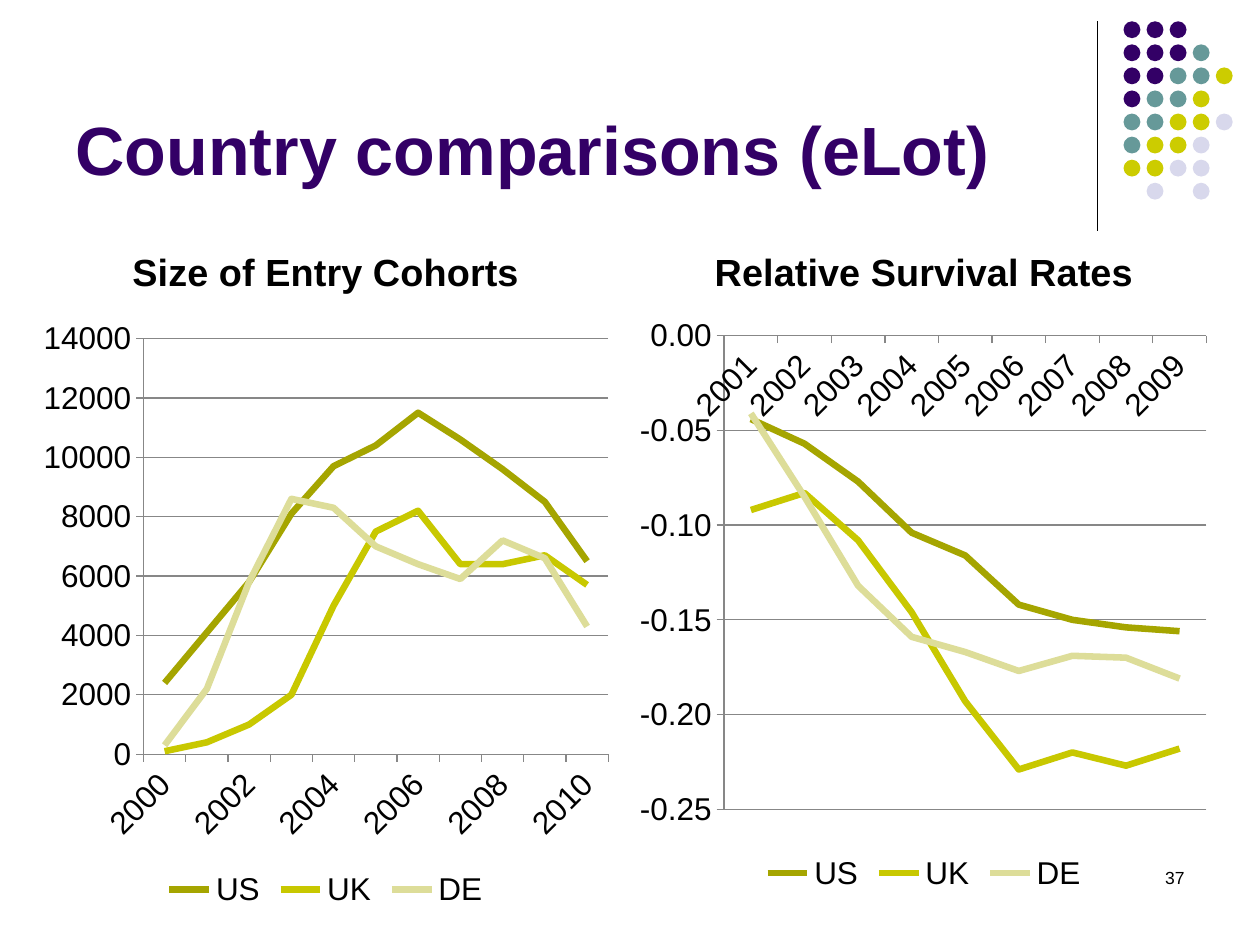
from lxml import etree
from pptx import Presentation
from pptx.chart.data import CategoryChartData
from pptx.dml.color import RGBColor
from pptx.enum.chart import XL_CHART_TYPE, XL_LEGEND_POSITION, XL_TICK_MARK
from pptx.enum.shapes import MSO_CONNECTOR, MSO_SHAPE
from pptx.enum.text import MSO_ANCHOR, MSO_AUTO_SIZE, PP_ALIGN
from pptx.oxml.ns import qn
from pptx.util import Cm, Pt

LINE_CHART = XL_CHART_TYPE.LINE
LEGEND_BOTTOM = XL_LEGEND_POSITION.BOTTOM
TICK_OUT, TICK_NONE = XL_TICK_MARK.OUTSIDE, XL_TICK_MARK.NONE
ELLIPSE, STRAIGHT = MSO_SHAPE.OVAL, MSO_CONNECTOR.STRAIGHT
FONT = "Arial"
COLORS = {
    "text": "000000", "grid": "878787",
    "P": "330066", "T": "669999", "Y": "CCCC00", "L": "D8D8EC",
    "US": "A5A500", "UK": "C8C800", "DE": "DDDD99",
}


def color(key):
    return RGBColor.from_string(COLORS[key])


def style(font, size, key="text", bold=False):
    font.name, font.size, font.bold = FONT, Pt(size), bold
    font.color.rgb = color(key)


prs = Presentation()
prs.slide_width, prs.slide_height = Cm(25.4), Cm(19.05)
slide = prs.slides.add_slide(prs.slide_layouts[5])
shapes = slide.shapes

# Corner ornament: rule and dot grid
rule = shapes.add_connector(STRAIGHT, Cm(22.12), Cm(0.43), Cm(22.12), Cm(4.65))
rule.line.color.rgb = color("text")
rule.line.width = Pt(0.75)
etree.SubElement(rule._element.spPr, qn("a:effectLst"))

DOT_ROWS = ["PPP", "PPPT", "PPTTY", "PTTY", "TTYYL", "TYYL", "YYLL", " L L"]
DOT_SIZE, DOT_PITCH = 0.34, 0.465
for row, dots in enumerate(DOT_ROWS):
    for column, key in enumerate(dots):
        if key == " ":
            continue
        dot = shapes.add_shape(ELLIPSE, Cm(22.65 + column * DOT_PITCH), Cm(0.43 + row * DOT_PITCH),
                               Cm(DOT_SIZE), Cm(DOT_SIZE))
        dot.shadow.inherit = False
        dot.fill.solid()
        dot.fill.fore_color.rgb = color(key)
        dot.line.fill.background()

# Title
title = shapes.title
title.left, title.top, title.width, title.height = Cm(1.27), Cm(0.33), Cm(20.96), Cm(3.61)
heading = title.text_frame
heading.text = "Country comparisons (eLot)"
heading.auto_size = MSO_AUTO_SIZE.NONE
heading.vertical_anchor = MSO_ANCHOR.BOTTOM
heading.paragraphs[0].alignment = PP_ALIGN.LEFT
style(heading.paragraphs[0].runs[0].font, 39, "P", True)

# Charts: plot area is given as fractions of the chart
COMPARISONS = [
    {
        "title": "Size of Entry Cohorts", "left": 0.64, "height": 13.97,
        "years": range(2000, 2011), "label_step": 2,
        "scale": (0, 14000, 2000), "format": "General",
        "plot": {"x": 0.19, "y": 0.17, "w": 0.79, "h": 0.6},
        "series": {
            "US": [2400, 4100, 5800, 8100, 9700, 10400, 11500, 10600, 9600, 8500, 6500],
            "UK": [100, 400, 1000, 2000, 5000, 7500, 8200, 6400, 6400, 6700, 5700],
            "DE": [300, 2200, 5800, 8600, 8300, 7000, 6400, 5900, 7200, 6600, 4300],
        },
    },
    {
        "title": "Relative Survival Rates", "left": 12.7, "height": 13.64,
        "years": range(2001, 2010), "label_step": 1,
        "scale": (-0.25, 0, 0.05), "format": "#,##0.00",
        "plot": {"x": 0.16, "y": 0.17, "w": 0.82, "h": 0.7},
        "series": {
            "US": [-0.044, -0.057, -0.077, -0.104, -0.116, -0.142, -0.15, -0.154, -0.156],
            "UK": [-0.092, -0.083, -0.108, -0.146, -0.193, -0.229, -0.22, -0.227, -0.218],
            "DE": [-0.041, -0.085, -0.132, -0.159, -0.167, -0.177, -0.169, -0.17, -0.181],
        },
    },
]
for comparison in COMPARISONS:
    data = CategoryChartData(number_format=comparison["format"])
    data.categories = [str(year) for year in comparison["years"]]
    for country, values in comparison["series"].items():
        data.add_series(country, values)
    chart = shapes.add_chart(LINE_CHART, Cm(comparison["left"]), Cm(4.45), Cm(11.86),
                             Cm(comparison["height"]), data).chart
    style(chart.font, 18)
    chart.has_title = True
    chart.chart_title.include_in_layout = False
    chart_heading = chart.chart_title.text_frame
    chart_heading.text = comparison["title"]
    style(chart_heading.paragraphs[0].runs[0].font, 21.6, bold=True)
    chart.has_legend = True
    chart.legend.position = LEGEND_BOTTOM
    chart.legend.include_in_layout = False
    style(chart.legend.font, 18)

    chart.plots[0].vary_by_categories = False
    for series in chart.plots[0].series:
        series.smooth = False
        series.format.line.color.rgb = color(series.name)
        series.format.line.width = Pt(3.75)

    years, scale = chart.category_axis, chart.value_axis
    for axis in (years, scale):
        axis.major_tick_mark, axis.minor_tick_mark = TICK_OUT, TICK_NONE
        axis.format.line.color.rgb = color("grid")
        style(axis.tick_labels.font, 18)
    scale.minimum_scale, scale.maximum_scale, scale.major_unit = comparison["scale"]
    scale.tick_labels.number_format = comparison["format"]
    scale.tick_labels.number_format_is_linked = False
    scale.has_major_gridlines = True
    scale.major_gridlines.format.line.color.rgb = color("grid")

    # Slanted year labels, shown at every label_step
    years_xml = years._element
    years_xml.find(qn("c:txPr")).find(qn("a:bodyPr")).set("rot", "-2700000")
    skip = etree.Element(qn("c:tickLblSkip"), val=str(comparison["label_step"]))
    years_xml.find(qn("c:noMultiLvlLbl")).addprevious(skip)

    # Fixed inner plot area
    plot_area = chart._chartSpace.chart.plotArea
    for automatic in plot_area.findall(qn("c:layout")):
        plot_area.remove(automatic)
    layout = etree.Element(qn("c:layout"))
    plot_area.insert(0, layout)
    manual = etree.SubElement(layout, qn("c:manualLayout"))
    settings = {"layoutTarget": "inner", "xMode": "edge", "yMode": "edge", **comparison["plot"]}
    for name, value in settings.items():
        etree.SubElement(manual, qn(f"c:{name}"), val=str(value))

# Slide number
number = shapes.add_textbox(Cm(18.21), Cm(17.35), Cm(5.92), Cm(1.27)).text_frame
number.word_wrap = True
number.text = "37"
number.paragraphs[0].alignment = PP_ALIGN.RIGHT
style(number.paragraphs[0].runs[0].font, 10)

prs.save("out.pptx")
